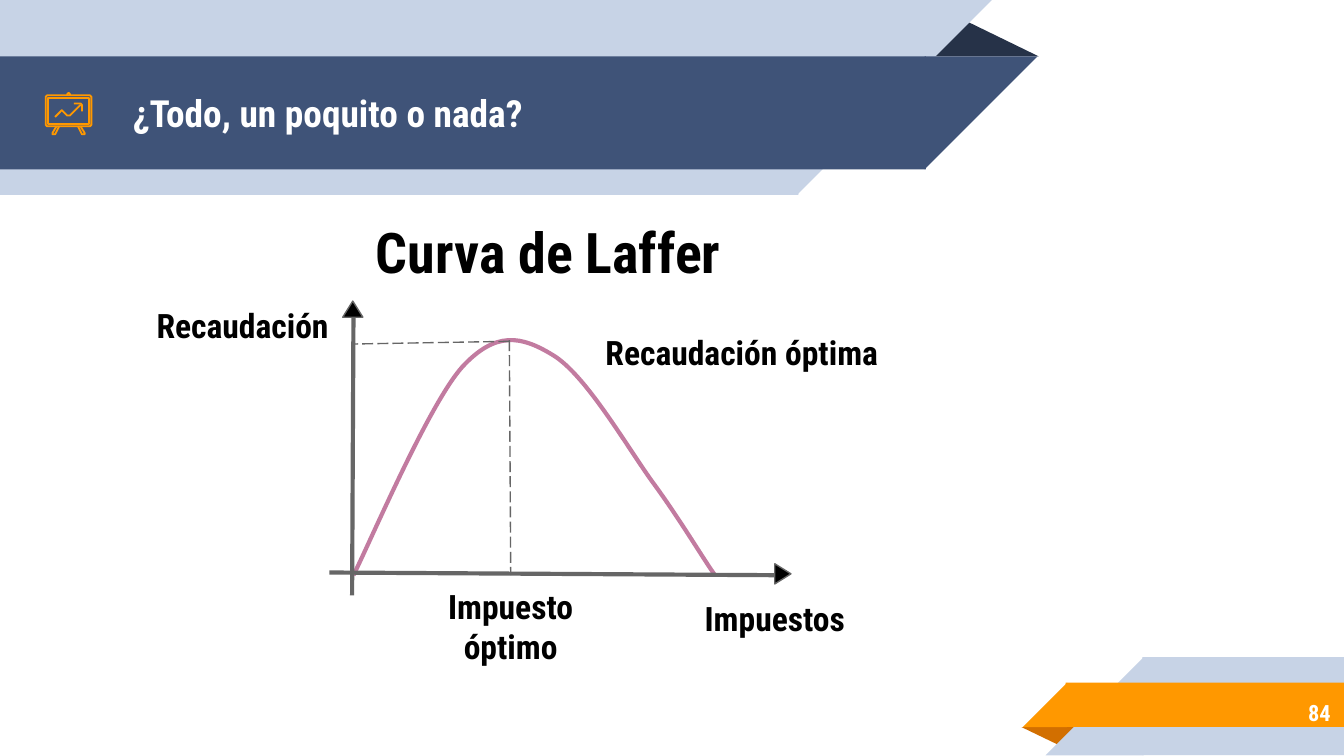
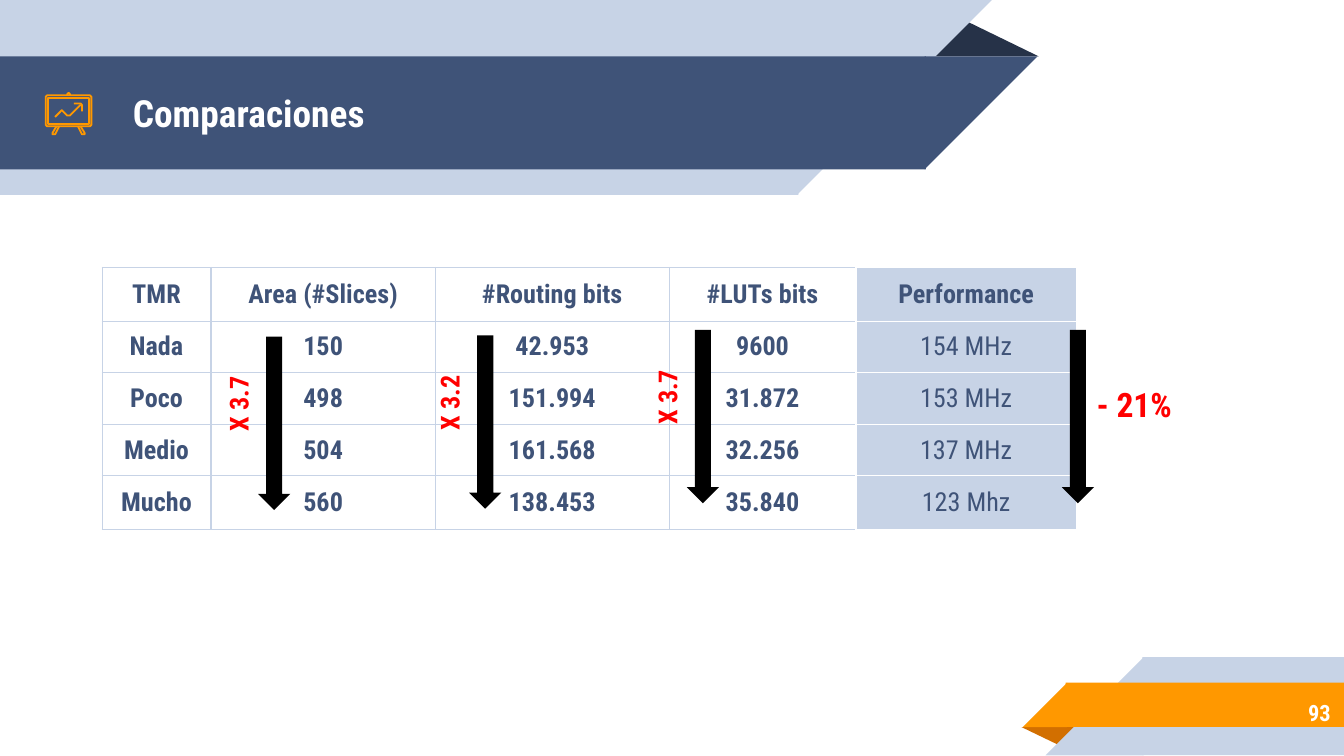
import itertools
from dataclasses import dataclass
from typing import Any, Optional

import lxml.etree
import pptx
import pptx.dml.color
import pptx.enum.dml
import pptx.enum.shapes
import pptx.enum.text
import pptx.oxml.ns
import pptx.util

Inches = pptx.util.Inches
Pt = pptx.util.Pt
Preset = pptx.enum.shapes.MSO_SHAPE
Align = pptx.enum.text.PP_ALIGN
Anchor = pptx.enum.text.MSO_ANCHOR
qn = pptx.oxml.ns.qn

# Shared style
FONT = "Roboto Condensed"
NAVY, DARK_NAVY, PALE = "3F5378", "263248", "C7D3E6"
ORANGE, DARK_ORANGE = "FF9800", "D26F00"
BLACK, WHITE, GRAY, RED, MAUVE = "000000", "FFFFFF", "666666", "FF0000", "C27BA0"


@dataclass(frozen=True)
class Piece:
    """A filled preset shape."""
    preset: Any
    left: float
    top: float
    width: float
    height: float
    fill: str
    rotation: float = 0
    adjustment: Optional[float] = None
    line: Optional[str] = None


@dataclass(frozen=True)
class Label:
    """A one-paragraph text box."""
    text: str
    left: float
    top: float
    width: float
    height: float
    size: float = 18
    color: str = BLACK
    align: Any = Align.CENTER
    anchor: Any = Anchor.TOP
    rotation: float = 0


@dataclass(frozen=True)
class Segment:
    """A straight line."""
    x1: float
    y1: float
    x2: float
    y2: float
    weight: float
    dashed: bool = False


@dataclass(frozen=True)
class Growth:
    """A downward arrow beside a table column, with its change."""
    center_x: float
    center_y: float
    label: Label


def band(left: float, top: float, width: float, height: float, fill: str,
         points_right: bool) -> list[Piece]:
    """A bar whose slanted end is a square right triangle, overlapped to hide the seam."""
    overlap = 0.01
    tip_left = left + width - overlap if points_right else left - height + overlap
    return [Piece(Preset.RECTANGLE, left, top, width, height, fill),
            Piece(Preset.RIGHT_TRIANGLE, tip_left, top, height, height, fill,
                  90 if points_right else 270)]


HEADER = [Piece(Preset.ISOSCELES_TRIANGLE, 6.88, 0.14, 0.85, 0.28, DARK_NAVY, 0, 0.324),
          *band(0, 0, 5.94, 1.45, PALE, True),
          *band(0, 0.42, 6.89, 0.84, NAVY, True)]
FOOTER = [Piece(Preset.ISOSCELES_TRIANGLE, 7.6, 5.41, 0.43, 0.14, DARK_ORANGE, 180, 0.324),
          *band(8.5, 4.89, 1.5, 0.73, PALE, False),
          *band(7.93, 5.08, 2.07, 0.33, ORANGE, False)]

# Easel icon: outline points and whether the outline is closed
EASEL = [
    ([(0.35, 0.71), (0.67, 0.71), (0.68, 0.72), (0.68, 0.93), (0.67, 0.94),
      (0.35, 0.94), (0.34, 0.93), (0.34, 0.72)], True),
    ([(0.36, 0.73), (0.36, 0.92), (0.66, 0.92), (0.66, 0.73)], True),
    ([(0.5, 0.71), (0.5, 0.7), (0.51, 0.69), (0.52, 0.7), (0.52, 0.71)], False),
    ([(0.42, 0.94), (0.39, 0.99), (0.39, 1), (0.41, 1), (0.44, 0.94)], False),
    ([(0.58, 0.94), (0.61, 1), (0.63, 1), (0.63, 0.99), (0.6, 0.94)], False),
    ([(0.6, 0.78), (0.52, 0.86), (0.5, 0.86), (0.46, 0.82), (0.41, 0.87)], False),
    ([(0.55, 0.77), (0.6, 0.77), (0.61, 0.78), (0.61, 0.83)], False),
]

# Laffer curve: a start point, then three Bézier points per section
LAFFER_CURVE = [(2.63, 4.28),
                (2.76, 4.02), (3.19, 3.01), (3.44, 2.73),
                (3.69, 2.46), (3.88, 2.5), (4.11, 2.64),
                (4.35, 2.78), (4.65, 3.3), (4.85, 3.58),
                (5.05, 3.85), (5.24, 4.17), (5.32, 4.28)]
LAFFER_LINES = [Segment(2.45, 4.26, 5.77, 4.28, 2.25),
                Segment(2.62, 4.43, 2.63, 2.36, 2.25),
                Segment(3.79, 2.53, 3.8, 4.28, 0.75, True),
                Segment(3.79, 2.54, 2.62, 2.56, 0.75, True)]
AXIS_TIPS = [Piece(Preset.ISOSCELES_TRIANGLE, 2.55, 2.24, 0.15, 0.12, BLACK, 0, 0.5, GRAY),
             Piece(Preset.ISOSCELES_TRIANGLE, 5.75, 4.21, 0.15, 0.12, BLACK, 90, 0.5, GRAY)]
LAFFER_LABELS = [Label("Curva de Laffer", 2.5, 1.52, 3.16, 0.6, 30),
                 Label("Recaudación", 1.06, 2.17, 1.49, 0.42),
                 Label("Impuestos", 5.02, 4.35, 1.49, 0.42),
                 Label("Impuesto óptimo", 3.2, 4.26, 1.2, 0.79),
                 Label("Recaudación óptima", 4.35, 2.37, 2.34, 0.47)]

# Comparison table
TABLE_ROWS = [["TMR", "Area (#Slices)", "#Routing bits", "#LUTs bits", "Performance"],
              ["Nada", "150", "42.953", "9600", "154 MHz"],
              ["Poco", "498", "151.994", "31.872", "153 MHz"],
              ["Medio", "504", "161.568", "32.256", "137 MHz"],
              ["Mucho", "560", "138.453", "35.840", "123 Mhz"]]
COLUMN_WIDTHS = [0.81, 1.67, 1.74, 1.39, 1.64]
ROW_HEIGHTS = [0.4, 0.33, 0.27, 0.35, 0.4]


def factor(text: str, left: float, top: float) -> Label:
    return Label(text, left, top, 0.88, 0.47, 14, RED, rotation=270)


GROWTHS = [Growth(2.04, 3.15, factor("X 3.7", 1.35, 2.77)),
           Growth(3.61, 3.14, factor("X 3.2", 2.92, 2.76)),
           Growth(5.23, 3.1, factor("X 3.7", 4.54, 2.72)),
           Growth(8.02, 3.1, Label("- 21%", 8, 2.76, 0.88, 0.47, 18, RED))]


def rgb(value: str) -> pptx.dml.color.RGBColor:
    return pptx.dml.color.RGBColor.from_string(value)


def add_span(para: Any, text: str, size: float, color: str, bold: bool = True) -> None:
    span = para.add_run()
    span.text = text
    span.font.name = FONT
    span.font.size = Pt(size)
    span.font.bold = bold
    span.font.color.rgb = rgb(color)


def draw_piece(shapes: Any, piece: Piece) -> None:
    shape = shapes.add_shape(piece.preset, Inches(piece.left), Inches(piece.top),
                             Inches(piece.width), Inches(piece.height))
    shape.shadow.inherit = False
    shape.rotation = piece.rotation
    if piece.adjustment is not None:
        shape.adjustments[0] = piece.adjustment
    shape.fill.solid()
    shape.fill.fore_color.rgb = rgb(piece.fill)
    if piece.line:
        shape.line.color.rgb = rgb(piece.line)
        shape.line.width = Pt(0.75)
    else:
        shape.line.fill.background()


def draw_label(page: Any, label: Label) -> None:
    box = page.shapes.add_textbox(Inches(label.left), Inches(label.top),
                                  Inches(label.width), Inches(label.height))
    box.rotation = label.rotation
    frame = box.text_frame
    frame.word_wrap = True
    frame.vertical_anchor = label.anchor
    frame.margin_left = frame.margin_right = Inches(0.1)
    frame.margin_top = frame.margin_bottom = Inches(0.1)
    para = frame.paragraphs[0]
    para.alignment = label.align
    add_span(para, label.text, label.size, label.color)


def draw_segment(page: Any, segment: Segment) -> None:
    line = page.shapes.add_connector(
        pptx.enum.shapes.MSO_CONNECTOR.STRAIGHT, Inches(segment.x1), Inches(segment.y1),
        Inches(segment.x2), Inches(segment.y2))
    line.line.color.rgb = rgb(GRAY)
    line.line.width = Pt(segment.weight)
    if segment.dashed:
        line.line.dash_style = pptx.enum.dml.MSO_LINE.LONG_DASH
    lxml.etree.SubElement(line._element.spPr, qn("a:effectLst"))


def draw_outline(shapes: Any, points: list[tuple[float, float]], closed: bool,
                 color: str, weight: float) -> Any:
    corners = [(Inches(x), Inches(y)) for x, y in points]
    builder = shapes.build_freeform(*corners[0])
    builder.add_line_segments(corners[1:], close=closed)
    shape = builder.convert_to_shape()
    shape.shadow.inherit = False
    shape.fill.background()
    shape.line.color.rgb = rgb(color)
    shape.line.width = Pt(weight)
    return shape


def bend(shape: Any) -> None:
    """Turn each three straight steps of an outline into one Bézier section."""
    steps = list(shape._element.iter(qn("a:lnTo")))
    for section in zip(steps[::3], steps[1::3], steps[2::3]):
        curve = lxml.etree.Element(qn("a:cubicBezTo"))
        section[0].addprevious(curve)
        for step in section:
            curve.append(step[0])
            step.getparent().remove(step)


def set_border(cell: Any, colors: dict[str, str]) -> None:
    properties = cell._tc.get_or_add_tcPr()
    for index, (side, color) in enumerate(colors.items()):
        line = lxml.etree.Element(qn(f"a:ln{side}"), w=str(Pt(0.75)))
        fill = lxml.etree.SubElement(line, qn("a:solidFill"))
        lxml.etree.SubElement(fill, qn("a:srgbClr"), val=color)
        properties.insert(index, line)


def draw_table(page: Any) -> None:
    table = page.shapes.add_table(
        len(ROW_HEIGHTS), len(COLUMN_WIDTHS), Inches(0.76), Inches(1.99),
        Inches(sum(COLUMN_WIDTHS)), Inches(sum(ROW_HEIGHTS))).table
    table.first_row = table.horz_banding = False
    for column, width in zip(table.columns, COLUMN_WIDTHS):
        column.width = Inches(width)
    for row, height in zip(table.rows, ROW_HEIGHTS):
        row.height = Inches(height)
    last = len(COLUMN_WIDTHS) - 1
    for r, c in itertools.product(range(len(ROW_HEIGHTS)), range(last + 1)):
        cell = table.cell(r, c)
        cell.vertical_anchor = Anchor.MIDDLE
        cell.margin_left = cell.margin_right = Inches(0.1)
        cell.margin_top = cell.margin_bottom = Pt(5.4)
        para = cell.text_frame.paragraphs[0]
        para.alignment = Align.CENTER
        add_span(para, TABLE_ROWS[r][c], 14, NAVY, bold=r == 0 or c < last)
        # The performance column is shaded and ruled in white
        if c == last:
            cell.fill.solid()
            cell.fill.fore_color.rgb = rgb(PALE)
        else:
            cell.fill.background()
        edge = WHITE if c == last else PALE
        right = WHITE if c >= last - 1 else PALE
        set_border(cell, {"L": edge, "R": right, "T": edge, "B": edge})


def add_page(deck: Any, title: str, number: int) -> Any:
    """A page with its bands, title, number and easel icon."""
    page = deck.slides.add_slide(deck.slide_layouts[6])
    for pieces in (HEADER, FOOTER):
        group = page.shapes.add_group_shape()
        for piece in pieces:
            draw_piece(group.shapes, piece)
    draw_label(page, Label(title, 0.89, 0.42, 5.75, 0.84, 20, WHITE, Align.LEFT, Anchor.MIDDLE))
    draw_label(page, Label(str(number), 8.37, 5.13, 1.63, 0.35, 12, WHITE,
                           Align.RIGHT, Anchor.MIDDLE))
    easel = page.shapes.add_group_shape()
    for points, closed in EASEL:
        draw_outline(easel.shapes, points, closed, ORANGE, 0.96)
    return page


def add_laffer_page(deck: Any) -> None:
    page = add_page(deck, "¿Todo, un poquito o nada?", 84)
    bend(draw_outline(page.shapes, LAFFER_CURVE, False, MAUVE, 2.25))
    for segment in LAFFER_LINES:
        draw_segment(page, segment)
    for tip in AXIS_TIPS:
        draw_piece(page.shapes, tip)
    for label in LAFFER_LABELS:
        draw_label(page, label)


def add_comparison_page(deck: Any) -> None:
    page = add_page(deck, "Comparaciones", 93)
    draw_table(page)
    length, thickness = 1.29, 0.24
    for growth in GROWTHS:
        draw_piece(page.shapes, Piece(
            Preset.RIGHT_ARROW, growth.center_x - length / 2, growth.center_y - thickness / 2,
            length, thickness, BLACK, 90, 0.5))
        draw_label(page, growth.label)


def main() -> None:
    deck = pptx.Presentation()
    deck.slide_width = Inches(10)
    deck.slide_height = deck.slide_width * 9 // 16
    add_laffer_page(deck)
    add_comparison_page(deck)
    deck.save("out.pptx")


if __name__ == "__main__":
    main()
